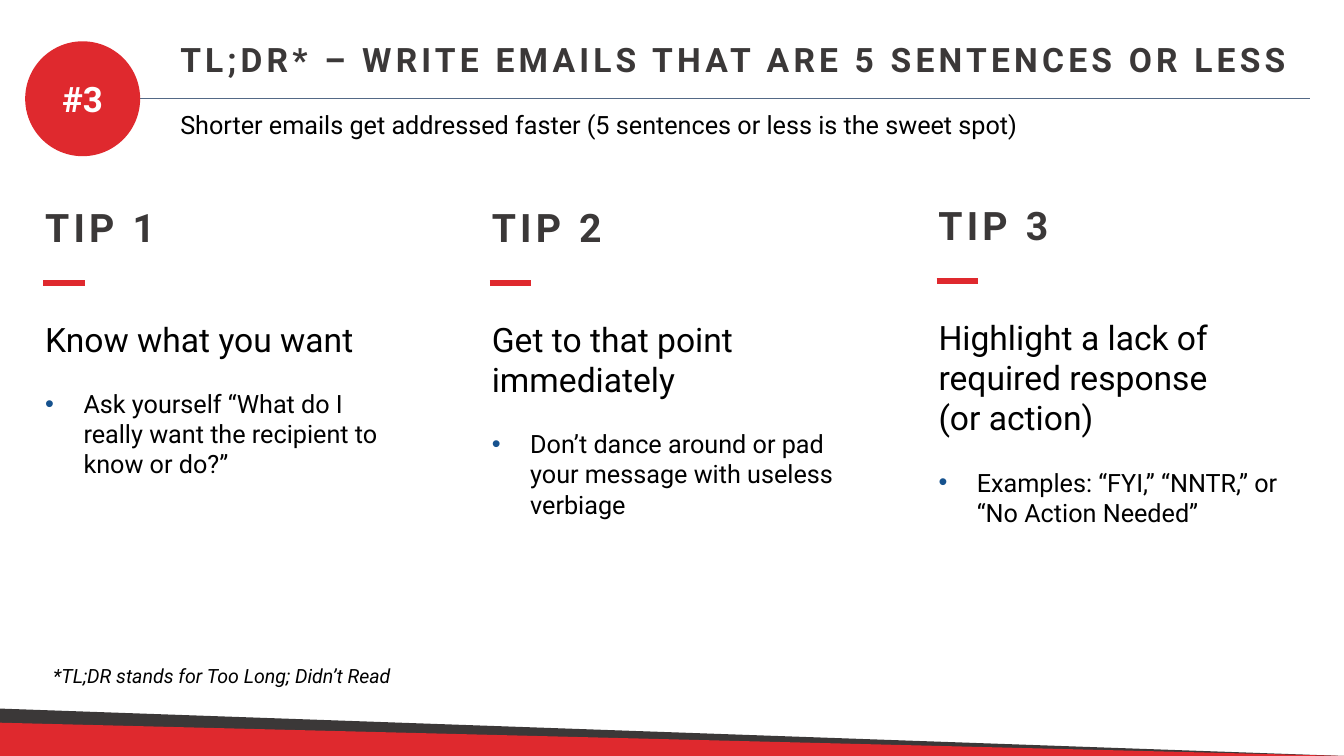
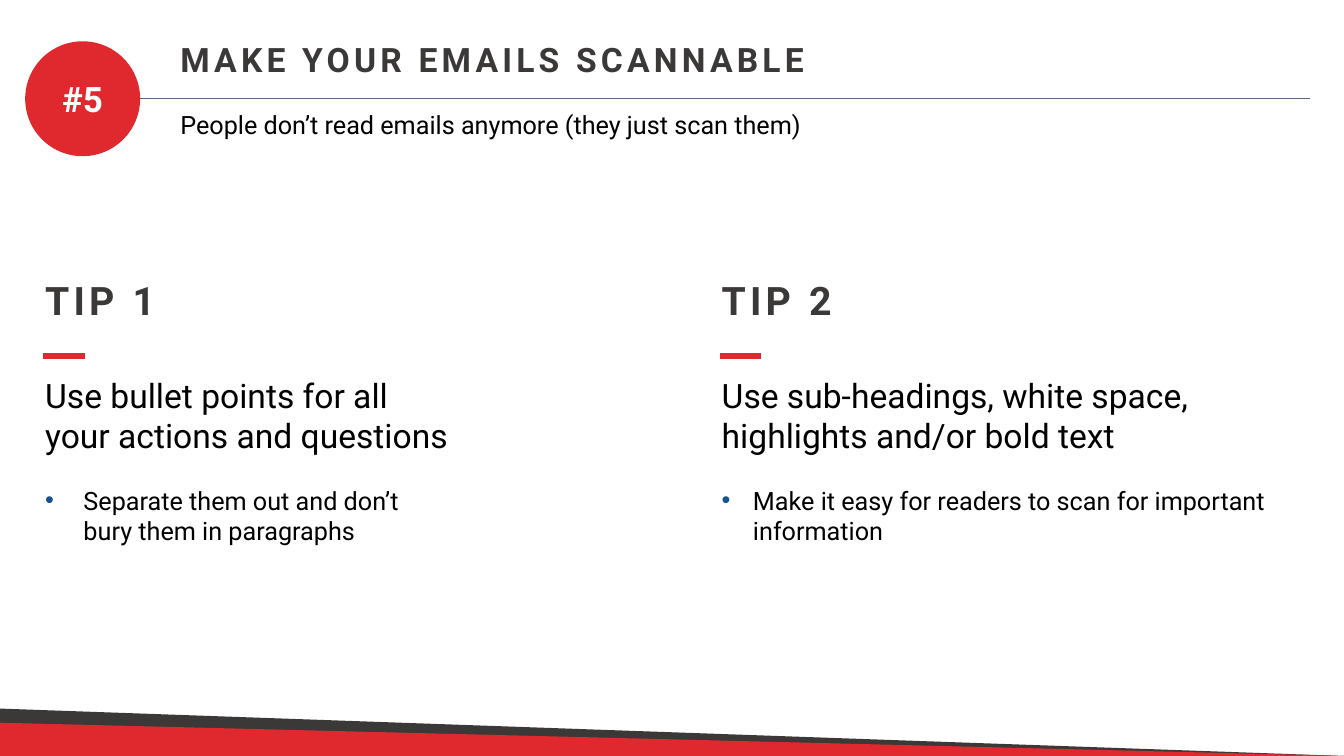
from lxml.etree import SubElement
from pptx import Presentation
from pptx.dml.color import RGBColor
from pptx.enum.shapes import MSO_CONNECTOR, MSO_SHAPE
from pptx.enum.text import MSO_ANCHOR, MSO_AUTO_SIZE, PP_ALIGN
from pptx.oxml.ns import qn
from pptx.util import Inches, Pt

WIDE, HIGH = 13.33, 7.5
HUES = {"red": "DF292E", "dark": "3B3838", "rule": "536986",
        "dot": "16528E", "text": "000000", "white": "FFFFFF"}


def hue(name):
    return RGBColor.from_string(HUES[name])


class Deck:
    """Holds the shared style and the current slide."""

    font = "Roboto"

    def __init__(self):
        self.file = Presentation()
        self.file.slide_width = Inches(WIDE)
        self.file.slide_height = Inches(HIGH)

    def start(self, mark, title, lead):
        """Open a slide with its header and footer bands."""
        self.slide = self.file.slides.add_slide(self.file.slide_layouts[6])
        for top, color in ((7.03, "dark"), (7.17, "red")):
            self.shape(MSO_SHAPE.RIGHT_TRIANGLE, 0, top, WIDE, HIGH - top, color)
        self.line(0.35, 12.99, 0.98, "rule", 0.5)
        self.badge(mark)
        self.head(title, 1.69, 0.34, 11.5, 24)
        self.run(self.box(1.69, 1.04, 10.2, 0.4), lead, 18)

    def shape(self, kind, left, top, width, height, color):
        shape = self.slide.shapes.add_shape(
            kind, Inches(left), Inches(top), Inches(width), Inches(height))
        shape.shadow.inherit = False
        shape.fill.solid()
        shape.fill.fore_color.rgb = hue(color)
        shape.line.fill.background()
        return shape

    def badge(self, mark):
        frame = self.shape(MSO_SHAPE.OVAL, 0.25, 0.41, 1.14, 1.14, "red").text_frame
        frame.vertical_anchor = MSO_ANCHOR.MIDDLE
        para = frame.paragraphs[0]
        para.alignment = PP_ALIGN.CENTER
        self.run(para, mark, 25, "white", bold=True)

    def line(self, left, right, top, color, weight):
        line = self.slide.shapes.add_connector(
            MSO_CONNECTOR.STRAIGHT, Inches(left), Inches(top), Inches(right), Inches(top))
        line.line.color.rgb = hue(color)
        line.line.width = Pt(weight)
        SubElement(line._element.spPr, qn("a:effectLst"))

    def box(self, left, top, width, height):
        """Add a text box and return its first paragraph."""
        frame = self.slide.shapes.add_textbox(
            Inches(left), Inches(top), Inches(width), Inches(height)).text_frame
        frame.word_wrap = True
        frame.auto_size = MSO_AUTO_SIZE.SHAPE_TO_FIT_TEXT
        return frame.paragraphs[0]

    def run(self, para, text, size, color="text", bold=False, italic=False):
        run = para.add_run()
        run.text = text
        font = run.font
        font.name, font.size = self.font, Pt(size)
        font.bold, font.italic = bold, italic
        font.color.rgb = hue(color)
        return run

    def head(self, text, left, top, width, size):
        """Add a bold, letter-spaced heading."""
        para = self.box(left, top, width, size / 50)
        run = self.run(para, text, size, "dark", bold=True)
        run._r.get_or_add_rPr().set("spc", "300")

    def bullet(self, para, text, indent):
        props = para._p.get_or_add_pPr()
        props.set("marL", str(Inches(indent)))
        props.set("indent", str(-Inches(indent)))
        color = SubElement(props, qn("a:buClr"))
        SubElement(color, qn("a:srgbClr"), val=HUES["dot"])
        SubElement(props, qn("a:buFont"), typeface="Arial")
        SubElement(props, qn("a:buChar"), char="•")
        para.space_before = Pt(21)
        self.run(para, text, 18)

    def tip(self, count, left, top, width, gap, lines, note, indent=0.38):
        """Add a tip: heading, dash, statement and bullet."""
        self.head(f"TIP {count}", left, top, 3, 28)
        self.line(left + 0.08, left + 0.49, top + 0.84, "red", 4.5)
        para = self.box(left, top + gap, width, 2.12)
        frame = para._parent
        for spot, text in enumerate(lines):
            self.run(frame.add_paragraph() if spot else para, text, 24)
        self.bullet(frame.add_paragraph(), note, indent)

    def foot(self, text):
        self.run(self.box(0.43, 6.54, 6.54, 0.34), text, 14, italic=True)


def main():
    deck = Deck()

    deck.start("#3", "TL;DR* – WRITE EMAILS THAT ARE 5 SENTENCES OR LESS",
               "Shorter emails get addressed faster (5 sentences or less is the sweet spot)")
    tips = (
        (1.97, 3.61, ["Know what you want"],
         "Ask yourself “What do I really want the recipient to know or do?”"),
        (1.97, 3.78, ["Get to that point immediately"],
         "Don’t dance around or pad your message with useless verbiage"),
        (1.95, 3.78, ["Highlight a lack of required response", "(or action)"],
         "Examples: “FYI,” “NNTR,” or “No Action Needed”"),
    )
    for spot, (top, width, lines, note) in enumerate(tips):
        deck.tip(spot + 1, 0.35 + 4.43 * spot, top, width, 1.14, lines, note)
    deck.foot("*TL;DR stands for Too Long; Didn’t Read")

    deck.start("#5", "MAKE YOUR EMAILS SCANNABLE",
               "People don’t read emails anymore (they just scan them)")
    tips = (
        (0.35, 4.23, ["Use bullet points for all your actions and questions"],
         "Separate them out and don’t bury them in paragraphs", 0.38),
        (7.06, 5.79, ["Use sub-headings, white space, highlights and/or bold text"],
         "Make it easy for readers to scan for important information", 0.31),
    )
    for count, (left, width, lines, note, indent) in enumerate(tips, 1):
        deck.tip(count, left, 2.69, width, 0.98, lines, note, indent)

    deck.file.save("out.pptx")


if __name__ == "__main__":
    main()
